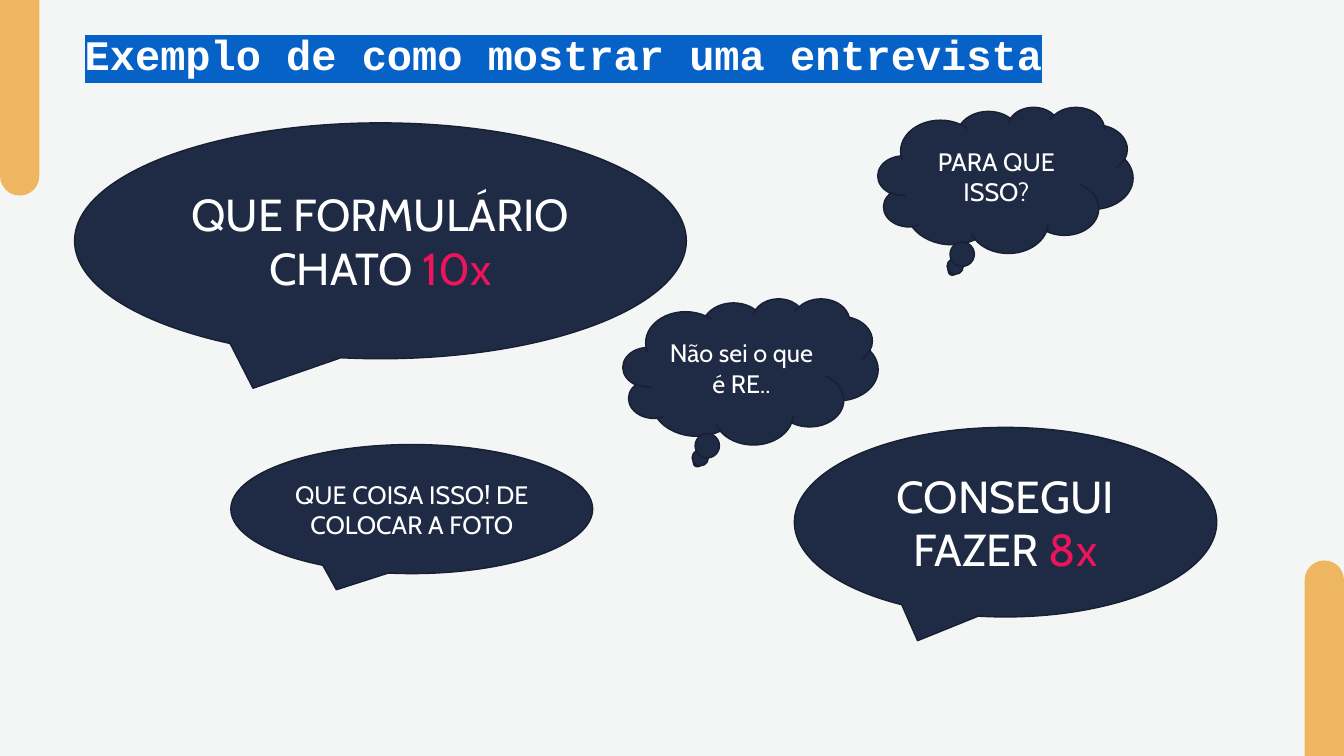
from dataclasses import dataclass

import pptx
import pptx.dml.color
import pptx.enum.shapes
import pptx.enum.text
import pptx.oxml
import pptx.oxml.ns
import pptx.util
from pptx.util import Pt

Preset = pptx.enum.shapes.MSO_SHAPE
Anchor = pptx.enum.text.MSO_ANCHOR
Align = pptx.enum.text.PP_ALIGN


@dataclass(frozen=True)
class Theme:
    background: str = "F4F5F5"
    tab: str = "EFB661"
    bubble: str = "1F2A44"
    outline: str = "171F32"
    text: str = "FFFFFF"
    count: str = "ED145B"
    highlight: str = "0762C8"
    title_font: str = "Courier New"
    quote_font: str = "Cabin"
    title_size: float = 30
    title_spacing: float = 45
    frequent_size: float = 32
    single_size: float = 18


@dataclass(frozen=True)
class Quote:
    """Something said (ellipse) or thought (cloud), with how often it came up."""
    preset: Preset
    left: float
    top: float
    width: float
    height: float
    words: str
    count: str = ""


@dataclass(frozen=True)
class EdgeTab:
    left: float
    top: float
    rotation: float


THEME = Theme()
SLIDE_WIDTH, SLIDE_HEIGHT = 960, 540
TAB_WIDTH, TAB_HEIGHT = 28.1, 139.7
CLOUD_WIDTH, CLOUD_HEIGHT = 182.2, 104.4
SPEECH, THOUGHT = Preset.OVAL_CALLOUT, Preset.CLOUD_CALLOUT

EDGE_TABS = (
    EdgeTab(0, 0, 180),
    EdgeTab(SLIDE_WIDTH - TAB_WIDTH, SLIDE_HEIGHT - TAB_HEIGHT, 0),
)
QUOTES = (
    Quote(SPEECH, 164.9, 317.5, 258.5, 92.2, "QUE COISA ISSO! DE COLOCAR A FOTO"),
    Quote(THOUGHT, 627.1, 76.3, CLOUD_WIDTH, CLOUD_HEIGHT, "PARA QUE ISSO?"),
    Quote(SPEECH, 53.3, 87.8, 437, 168.5, "QUE FORMULÁRIO CHATO ", "10x"),
    Quote(THOUGHT, 445, 213.1, CLOUD_WIDTH, CLOUD_HEIGHT, "Não sei o que é RE.."),
    Quote(SPEECH, 567.4, 305.3, 301.7, 135.4, "CONSEGUI FAZER ", "8x"),
)


def rgb(value: str) -> pptx.dml.color.RGBColor:
    return pptx.dml.color.RGBColor.from_string(value)


def format_run(run, font: str, size: float, color: str) -> None:
    run.font.name = font
    run.font.size = Pt(size)
    run.font.color.rgb = rgb(color)


def highlight_run(run, color: str) -> None:
    """Mark the run's background; the font must already be set."""
    highlight = pptx.oxml.parse_xml(
        f'<a:highlight {pptx.oxml.ns.nsdecls("a")}><a:srgbClr val="{color}"/></a:highlight>'
    )
    run.font._element.find(pptx.oxml.ns.qn("a:latin")).addprevious(highlight)


def draw_edge_tab(slide, tab: EdgeTab) -> None:
    shape = slide.shapes.add_shape(
        Preset.ROUND_2_SAME_RECTANGLE,
        Pt(tab.left), Pt(tab.top), Pt(TAB_WIDTH), Pt(TAB_HEIGHT),
    )
    shape.adjustments[0] = 0.5
    shape.rotation = tab.rotation
    shape.shadow.inherit = False
    shape.fill.solid()
    shape.fill.fore_color.rgb = rgb(THEME.tab)
    shape.line.fill.background()


def draw_title(slide, words: str) -> None:
    title = slide.shapes.title
    title.left, title.top = Pt(53.3), Pt(4.3)
    title.width, title.height = Pt(830.9), Pt(51.8)
    frame = title.text_frame
    frame.text = words
    frame.word_wrap = True
    frame.vertical_anchor = Anchor.BOTTOM
    frame.margin_top = frame.margin_bottom = 0
    heading = frame.paragraphs[0]
    heading.alignment = Align.LEFT
    heading.line_spacing = Pt(THEME.title_spacing)
    run = heading.runs[0]
    format_run(run, THEME.title_font, THEME.title_size, THEME.text)
    run.font.bold = True
    highlight_run(run, THEME.highlight)


def draw_quote(slide, quote: Quote) -> None:
    bubble = slide.shapes.add_shape(
        quote.preset, Pt(quote.left), Pt(quote.top), Pt(quote.width), Pt(quote.height)
    )
    bubble.shadow.inherit = False
    bubble.fill.solid()
    bubble.fill.fore_color.rgb = rgb(THEME.bubble)
    bubble.line.color.rgb = rgb(THEME.outline)
    bubble.line.width = Pt(1)
    frame = bubble.text_frame
    frame.word_wrap = True
    frame.vertical_anchor = Anchor.MIDDLE
    sentence = frame.paragraphs[0]
    sentence.text = quote.words
    sentence.alignment = Align.CENTER
    size = THEME.frequent_size if quote.count else THEME.single_size
    format_run(sentence.runs[0], THEME.quote_font, size, THEME.text)
    if quote.count:
        count = sentence.add_run()
        count.text = quote.count
        format_run(count, THEME.quote_font, size, THEME.count)


def main() -> None:
    deck = pptx.Presentation()
    deck.slide_width, deck.slide_height = Pt(SLIDE_WIDTH), Pt(SLIDE_HEIGHT)
    slide = deck.slides.add_slide(deck.slide_layouts.get_by_name("Title Only"))
    slide.background.fill.solid()
    slide.background.fill.fore_color.rgb = rgb(THEME.background)
    for tab in EDGE_TABS:
        draw_edge_tab(slide, tab)
    draw_title(slide, "Exemplo de como mostrar uma entrevista")
    for quote in QUOTES:
        draw_quote(slide, quote)
    deck.save("out.pptx")


if __name__ == "__main__":
    main()
